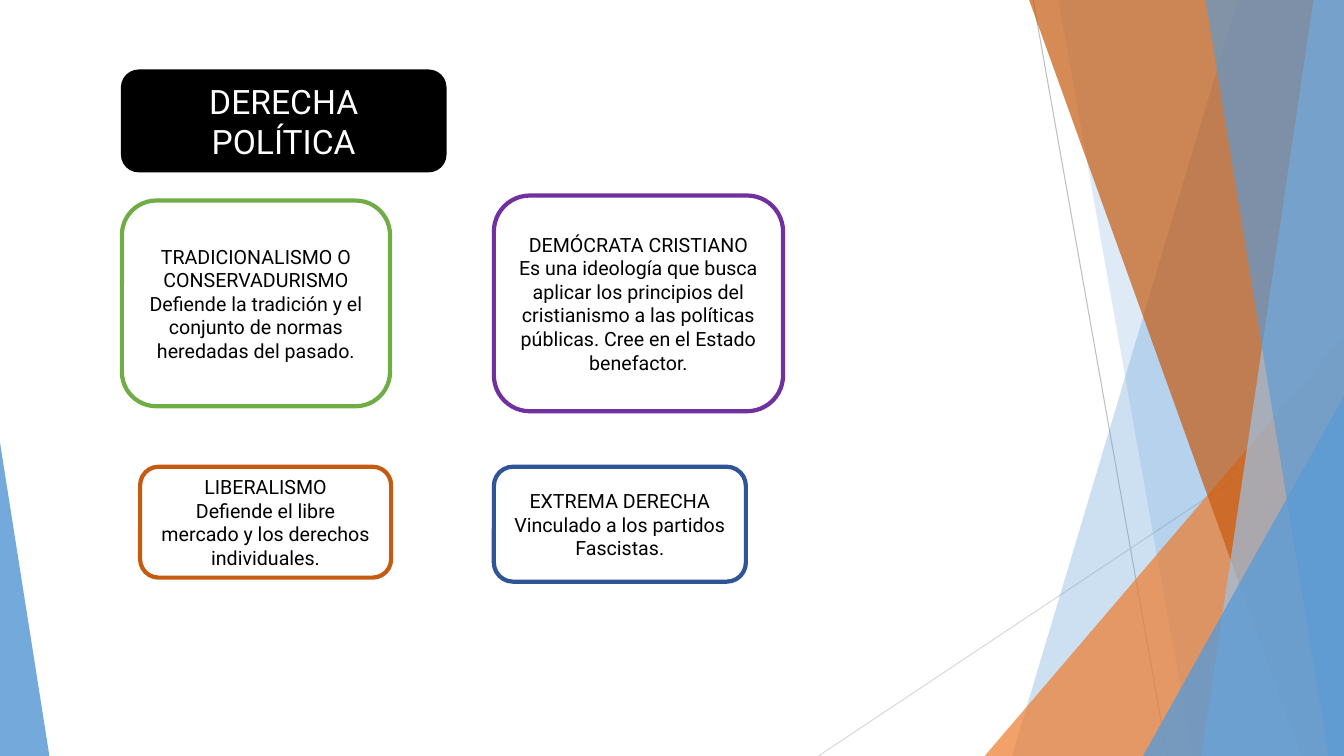
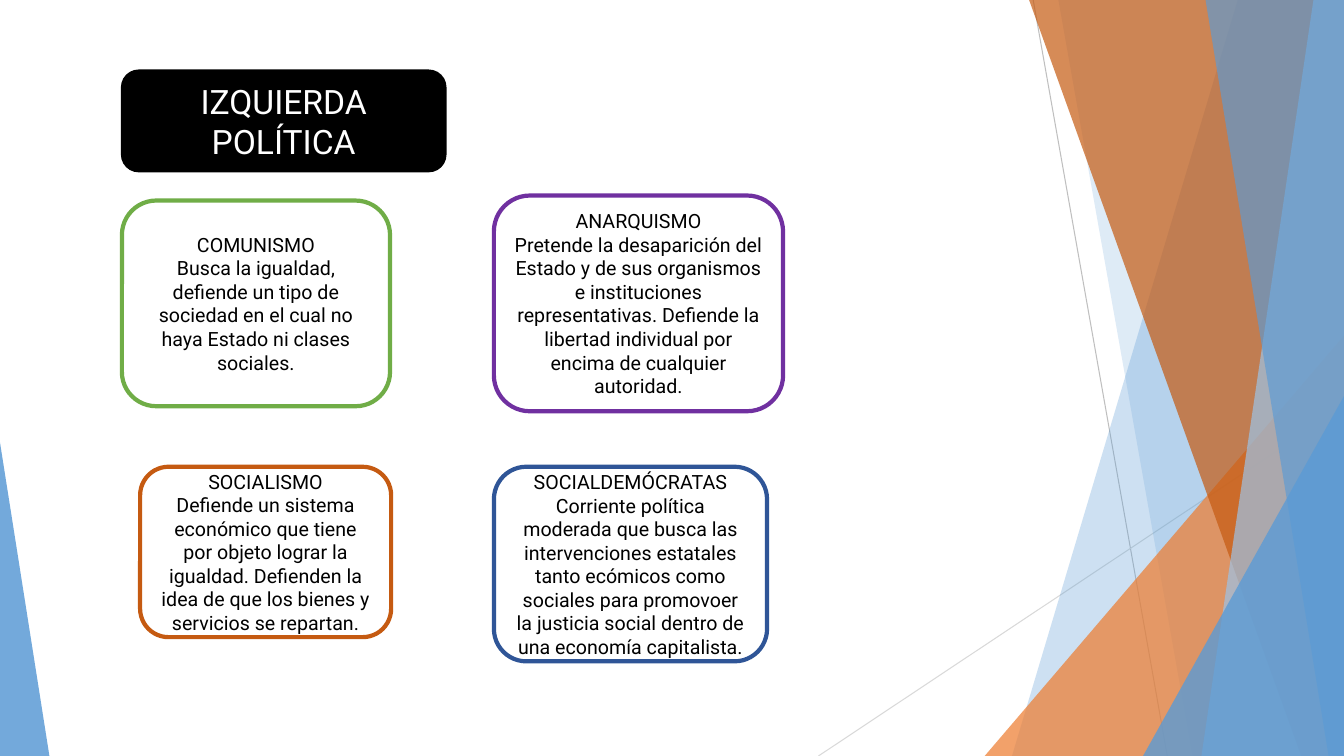
"""Builds two slides on the political right and left over a shared band layout."""
from lxml import etree
from pptx import Presentation, util as u
from pptx.dml import color
from pptx.enum import shapes, text
from pptx.oxml import ns

W, H = 960, 540
FONT = "Roboto"
COLORS = {
    "black": "000000", "white": "FFFFFF", "green": "70AD47", "purple": "7030A0",
    "rust": "C55A11", "navy": "2F5597", "blue": "5B9BD5", "sky": "9DC3E6",
    "orange": "ED7D31", "gray": "BFBFBF", "silver": "D9D9D9",
}
LINES = [((738, 0), (833.8, H), "gray"), ((W, 290.2), (584.6, H), "silver")]
BANDS = [
    ("band", (884.2, 722.9), "blue", 30),
    ("band", (756, 851.8), "blue", 20),
    ("triangle", (703.4, 239.8, W, 1), "orange", 72),
    ("band", (735.1, 929.5), "rust", 70),
    ("band", (938.2, 858.2), "sky", 70),
    ("band", (861.1, 949), "blue", 65),
    ("triangle", (816.5, 283, W, 1), "blue", 80),
    ("triangle", (0, 316.1, 35.3, 0), "blue", 85),
]
TITLE_BOX = (87.1, 50.4, 231.1, 72)
TOP_BOXES = [("green", (87.1, 143.3, 191.5, 146.9)), ("purple", (352.8, 139.7, 206.6, 154.1))]
LOW_LEFT = (100.1, 333.4, 179.3)
LOW_RIGHT = (352.8, 333.4)


def rgb(name):
    """Return the named colour."""
    return color.RGBColor.from_string(COLORS[name])


class Deck:
    """Holds the style and the current slide."""

    def __init__(self):
        """Open a widescreen presentation."""
        self.prs = Presentation()
        self.prs.slide_width, self.prs.slide_height = u.Pt(W), u.Pt(H)
        self.layout = self.prs.slide_layouts[5]
        self.s = None

    def new_slide(self):
        """Start a title-only slide."""
        self.s = self.prs.slides.add_slide(self.layout)

    def paint(self, sp, fill, line=None, width=0, opacity=100):
        """Set fill, outline and opacity."""
        sp.shadow.inherit = False
        sp.fill.solid()
        sp.fill.fore_color.rgb = rgb(fill)
        if opacity < 100:
            clr = sp.element.find(".//" + ns.qn("a:srgbClr"))
            etree.SubElement(clr, ns.qn("a:alpha"), val=str(opacity * 1000))
        if line:
            sp.line.color.rgb = rgb(line)
            sp.line.width = u.Pt(width)
        else:
            sp.line.fill.background()

    def line(self, start, end, name):
        """Draw a thin straight line."""
        sp = self.s.shapes.add_connector(
            shapes.MSO_CONNECTOR.STRAIGHT, *[u.Pt(v) for v in start + end])
        sp.line.color.rgb = rgb(name)
        sp.line.width = u.Pt(0.75)
        etree.SubElement(sp.element.spPr, ns.qn("a:effectLst"))
        return sp

    def band(self, top, bottom):
        """Draw a full-height outline that ends at the right edge."""
        points = [(u.Pt(x), u.Pt(y)) for x, y in [(top, 0), (W, 0), (W, H), (bottom, H)]]
        builder = self.s.shapes.build_freeform(*points[0], scale=1.0)
        builder.add_line_segments(points[1:], close=True)
        return builder.convert_to_shape()

    def triangle(self, left, top, right, apex):
        """Draw a triangle that stands on the bottom edge."""
        sp = self.s.shapes.add_shape(
            shapes.MSO_SHAPE.ISOSCELES_TRIANGLE,
            *[u.Pt(v) for v in (left, top, right - left, H - top)])
        sp.adjustments[0] = apex
        return sp

    def backdrop(self):
        """Draw the lines and bands and move them to the layout."""
        parts = [self.line(*item) for item in LINES]
        draw = {"band": self.band, "triangle": self.triangle}
        for kind, args, name, opacity in BANDS:
            sp = draw[kind](*args)
            self.paint(sp, name, opacity=opacity)
            parts.append(sp)
        for number, sp in enumerate(parts, 100):
            sp.element[0][0].set("id", str(number))
            self.layout.shapes.element.append(sp.element)

    def put_text(self, tf, lines, size, name):
        """Fill a text frame with centred paragraphs."""
        frame = {"word_wrap": True, "auto_size": text.MSO_AUTO_SIZE.NONE,
                 "vertical_anchor": text.MSO_ANCHOR.MIDDLE}
        for key, value in frame.items():
            setattr(tf, key, value)
        style = {"name": FONT, "size": u.Pt(size), "bold": False}
        for i, line in enumerate(lines):
            p = tf.add_paragraph() if i else tf.paragraphs[0]
            p.alignment = text.PP_ALIGN.CENTER
            r = p.add_run()
            r.text = line
            for key, value in style.items():
                setattr(r.font, key, value)
            r.font.color.rgb = rgb(name)

    def box(self, place, fill, line, width):
        """Draw a rounded box."""
        sp = self.s.shapes.add_shape(
            shapes.MSO_SHAPE.ROUNDED_RECTANGLE, *[u.Pt(v) for v in place])
        self.paint(sp, fill, line, width)
        return sp

    def title(self, words):
        """Set the title over its black box."""
        self.box(TITLE_BOX, "black", "black", 1.5)
        sp = self.s.shapes.title
        for key, value in zip(("left", "top", "width", "height"), TITLE_BOX):
            setattr(sp, key, u.Pt(value))
        tf = sp.text_frame
        tf.margin_left = tf.margin_right = u.Pt(11)
        self.put_text(tf, [words], 24, "white")
        self.s.shapes.element.append(sp.element)

    def card(self, name, place, lines):
        """Draw an outlined card with a heading and a definition."""
        sp = self.box(place, "white", name, 3)
        self.put_text(sp.text_frame, lines, 14, "black")


SLIDES = [
    ("DERECHA POLÍTICA", 79.2, (180, 82.1), [
        ("TRADICIONALISMO O CONSERVADURISMO",
         "Defiende la tradición y el conjunto de normas heredadas del pasado."),
        ("DEMÓCRATA CRISTIANO",
         "Es una ideología que busca aplicar los principios del cristianismo a las "
         "políticas públicas. Cree en el Estado benefactor."),
        ("LIBERALISMO", "Defiende el libre mercado y los derechos individuales."),
        ("EXTREMA DERECHA", "Vinculado a los partidos Fascistas."),
    ]),
    ("IZQUIERDA POLÍTICA", 121.7, (195.1, 139), [
        ("COMUNISMO",
         "Busca la igualdad, defiende un tipo de sociedad en el cual no haya Estado "
         "ni clases sociales."),
        ("ANARQUISMO",
         "Pretende la desaparición del Estado y de sus organismos e instituciones "
         "representativas. Defiende la libertad individual por encima de cualquier "
         "autoridad."),
        ("SOCIALISMO",
         "Defiende un sistema económico que tiene por objeto lograr la igualdad. "
         "Defienden la idea de que los bienes y servicios se repartan."),
        ("SOCIALDEMÓCRATAS",
         "Corriente política moderada que busca las intervenciones estatales tanto "
         "ecómicos como sociales para promovoer la justicia social dentro de una "
         "economía capitalista."),
    ]),
]


def main():
    """Build and save the slides."""
    deck = Deck()
    for i, (words, left_height, right_size, cards) in enumerate(SLIDES):
        deck.new_slide()
        if i == 0:
            deck.backdrop()
        deck.title(words)
        boxes = TOP_BOXES + [("rust", LOW_LEFT + (left_height,)),
                             ("navy", LOW_RIGHT + right_size)]
        for (name, place), lines in zip(boxes, cards):
            deck.card(name, place, lines)
    deck.prs.save("out.pptx")


if __name__ == "__main__":
    main()
